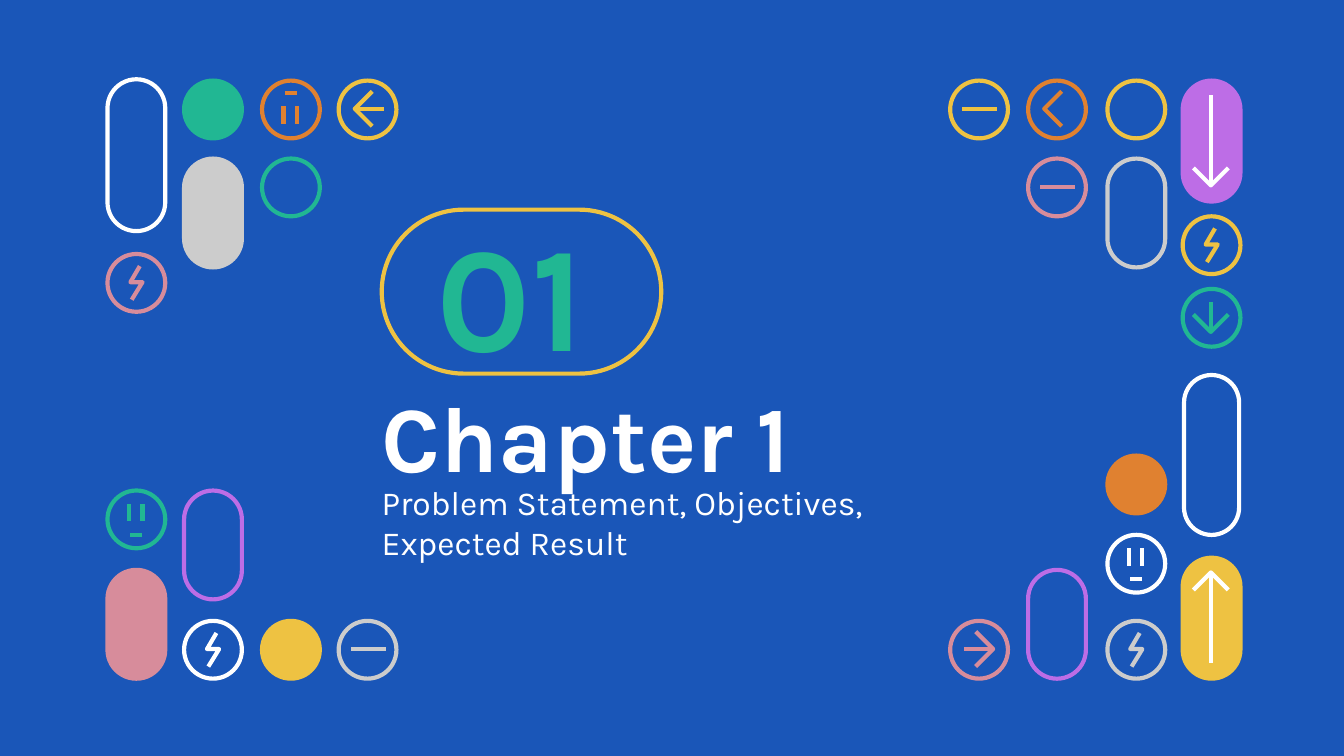
import pptx
import pptx.dml.color
import pptx.enum.shapes
import pptx.enum.text
import pptx.util
from lxml import etree

PX = 9144
COLORS = {
    "blue": "1A56B8", "white": "FFFFFF", "gray": "CCCCCC", "yellow": "EEC242",
    "pink": "D78C9B", "purple": "BD6DE6", "green": "21B793", "orange": "E08130",
}
DIAMETER = 43
MIDDLE = 21
BARB = 13
LEFT, RIGHT, UP, DOWN = (-1, 0), (1, 0), (0, -1), (0, 1)


def rgb(name):
    return pptx.dml.color.RGBColor.from_string(COLORS[name])


class Canvas:
    font = "Karla"
    stroke = pptx.util.Pt(2.25)

    def __init__(self, slide):
        self.slide = slide
        slide.background.fill.solid()
        slide.background.fill.fore_color.rgb = rgb("blue")

    def outline(self, shape, color):
        shape.line.color.rgb = rgb(color)
        shape.line.width = self.stroke

    def pill(self, x, y, width, height, color, filled=False):
        kinds = pptx.enum.shapes.MSO_SHAPE
        kind = kinds.OVAL if width == height else kinds.ROUNDED_RECTANGLE
        shape = self.slide.shapes.add_shape(kind, x * PX, y * PX, width * PX, height * PX)
        if width != height:
            shape.adjustments[0] = 0.5
        shape.shadow.inherit = False
        if filled:
            shape.fill.solid()
            shape.fill.fore_color.rgb = rgb(color)
        else:
            shape.fill.background()
        self.outline(shape, color)

    def circle(self, x, y, color, filled=False):
        self.pill(x, y, DIAMETER, DIAMETER, color, filled)

    def line(self, x1, y1, x2, y2, color):
        connector = self.slide.shapes.add_connector(
            pptx.enum.shapes.MSO_CONNECTOR.STRAIGHT, x1 * PX, y1 * PX, x2 * PX, y2 * PX)
        self.outline(connector, color)
        etree.SubElement(connector._element.spPr, pptx.oxml.ns.qn("a:effectLst"))

    def polyline(self, points, color):
        (x, y), *rest = points
        builder = self.slide.shapes.build_freeform(x, y, scale=PX)
        builder.add_line_segments(rest, close=False)
        shape = builder.convert_to_shape()
        shape.shadow.inherit = False
        shape.fill.background()
        self.outline(shape, color)

    def arrow(self, tip_x, tip_y, direction, shaft, color):
        dx, dy = direction
        back_x, back_y = tip_x - BARB * dx, tip_y - BARB * dy
        side_x, side_y = BARB * dy, BARB * dx
        self.polyline([(back_x + side_x, back_y + side_y), (tip_x, tip_y),
                       (back_x - side_x, back_y - side_y)], color)
        if shaft:
            self.line(tip_x, tip_y, tip_x - shaft * dx, tip_y - shaft * dy, color)

    def arrow_badge(self, x, y, direction, shaft, color):
        self.circle(x, y, color)
        dx, dy = direction
        reach = 9 if dx < 0 else 11
        self.arrow(x + MIDDLE + reach * dx, y + MIDDLE + reach * dy, direction, shaft, color)

    def minus_badge(self, x, y, color):
        self.circle(x, y, color)
        self.line(x + 9, y + MIDDLE, x + 35, y + MIDDLE, color)

    def bolt_badge(self, x, y, color):
        self.circle(x, y, color)
        bolt = [(24, 9), (17, 21), (26, 21), (18, 34)]
        self.polyline([(x + px, y + py) for px, py in bolt], color)

    def face_badge(self, x, y, color, flipped=False):
        self.circle(x, y, color)
        for x1, y1, x2, y2 in [(16, 10, 16, 23), (26, 10, 26, 23), (17, 33, 26, 33)]:
            if flipped:
                y1, y2 = DIAMETER - 1 - y1, DIAMETER - 1 - y2
            self.line(x + x1, y + y1, x + x2, y + y2, color)

    def text(self, x, y, width, height, words, size, color, bold=False):
        box = self.slide.shapes.add_textbox(x * PX, y * PX, width * PX, height * PX)
        frame = box.text_frame
        frame.word_wrap = True
        frame.vertical_anchor = pptx.enum.text.MSO_ANCHOR.MIDDLE
        frame.margin_left = frame.margin_right = frame.margin_top = frame.margin_bottom = 0
        paragraph = frame.paragraphs[0]
        paragraph.text = words
        paragraph.font.name = self.font
        paragraph.font.size = pptx.util.Pt(size)
        paragraph.font.bold = bold
        paragraph.font.color.rgb = rgb(color)


def main():
    presentation = pptx.Presentation()
    presentation.slide_width = 1000 * PX
    presentation.slide_height = presentation.slide_width * 9 // 16
    canvas = Canvas(presentation.slides.add_slide(presentation.slide_layouts[6]))

    for x, y, width, height, color, filled in [
        (80, 59, 43, 113, "white", False),
        (137, 118, 43, 81, "gray", True),
        (137, 365, 43, 81, "purple", False),
        (80, 424, 43, 81, "pink", True),
        (824, 118, 43, 81, "gray", False),
        (765, 424, 43, 81, "purple", False),
        (881, 279, 41, 119, "white", False),
        (880, 60, 43, 90, "purple", True),
        (880, 415, 43, 90, "yellow", True),
        (284, 156, 208, 122, "yellow", False),
    ]:
        canvas.pill(x, y, width, height, color, filled)
    canvas.arrow(901, 138, DOWN, 67, "white")
    canvas.arrow(901, 426, UP, 67, "white")

    for x, y, color, filled in [
        (137, 60, "green", True), (195, 118, "green", False), (195, 462, "yellow", True),
        (824, 60, "yellow", False), (824, 339, "orange", True),
    ]:
        canvas.circle(x, y, color, filled)

    for x, y, color in [(707, 60, "yellow"), (765, 118, "pink"), (252, 462, "gray")]:
        canvas.minus_badge(x, y, color)

    for x, y, color in [(80, 189, "pink"), (137, 462, "white"),
                        (880, 161, "yellow"), (824, 462, "gray")]:
        canvas.bolt_badge(x, y, color)

    for x, y, direction, shaft, color in [
        (252, 60, LEFT, 22, "yellow"), (765, 60, LEFT, 0, "orange"),
        (707, 462, RIGHT, 22, "pink"), (880, 215, DOWN, 22, "green"),
    ]:
        canvas.arrow_badge(x, y, direction, shaft, color)

    canvas.face_badge(195, 60, "orange", flipped=True)
    canvas.face_badge(80, 365, "green")
    canvas.face_badge(824, 398, "white")

    canvas.text(284, 278, 432, 92, "Chapter 1", 50, "white", bold=True)
    canvas.text(325, 163, 125, 108, "01", 80, "green", bold=True)
    canvas.text(284, 370, 432, 37, "Problem Statement, Objectives, Expected Result", 18, "white")

    presentation.save("out.pptx")


if __name__ == "__main__":
    main()
